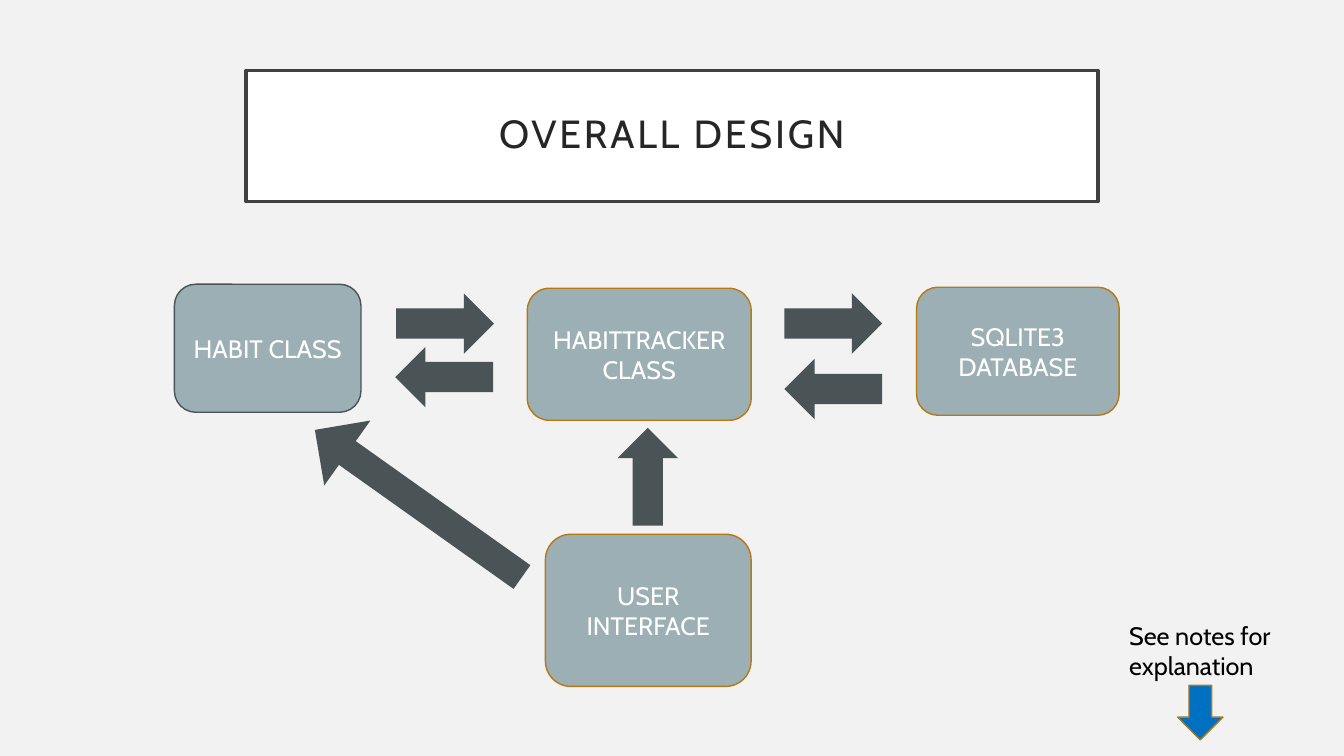
from pptx import Presentation
from pptx.dml.color import RGBColor
from pptx.enum.shapes import MSO_SHAPE
from pptx.enum.text import MSO_ANCHOR, MSO_AUTO_SIZE, PP_ALIGN
from pptx.util import Inches, Pt

FONT = "Cabin"
SLATE, STEEL, OCHRE, BLUE = "4A5356", "9BAFB5", "B67815", "0070C0"

TITLE = ("OVERALL DESIGN", (2.44, 0.7, 8.45, 1.3))
BOXES = [
    ("HABIT CLASS", (1.73, 2.82, 1.85, 1.27), SLATE),
    ("HABITTRACKER CLASS", (5.23, 2.86, 2.22, 1.31), OCHRE),
    ("SQLITE3 DATABASE", (9.09, 2.85, 2.01, 1.27), OCHRE),
    ("USER INTERFACE", (5.41, 5.3, 2.04, 1.51), OCHRE),
]
ARROW_SIZE = (0.97, 0.6)
ARROWS = [
    ((3.93, 2.91), 0),
    ((3.92, 3.44), 180),
    ((7.78, 2.91), 0),
    ((7.78, 3.56), 180),
    ((5.94, 4.43), 270),
]
LONG_ARROW = ((2.89, 4.6, 2.52, 0.79), 215.4)
NOTE = ("See notes for explanation", (11.1, 6.1, 1.65, 0.71))
NOTE_ARROW = (11.68, 6.8, 0.45, 0.54)


def rgb(color):
    return RGBColor.from_string(color)


def paint(sp, fill, line=None, width=1):
    sp.fill.solid()
    sp.fill.fore_color.rgb = rgb(fill)
    if line:
        sp.line.color.rgb = rgb(line)
        sp.line.width = Pt(width)
    else:
        sp.line.fill.background()


def add_shape(kind, at, fill, line=None):
    sp = s.shapes.add_shape(kind, *map(Inches, at))
    sp.shadow.inherit = False
    paint(sp, fill, line)
    return sp


def write(sp, text, size, color, align, anchor):
    tf = sp.text_frame
    tf.word_wrap = True
    tf.vertical_anchor = anchor
    p = tf.paragraphs[0]
    p.alignment = align
    r = p.add_run()
    r.text = text
    r.font.name = FONT
    r.font.size = Pt(size)
    r.font.color.rgb = rgb(color)
    return tf, p, r


prs = Presentation()
prs.slide_width, prs.slide_height = Inches(13.33), Inches(7.5)
s = prs.slides.add_slide(prs.slide_layouts[5])
s.background.fill.solid()
s.background.fill.fore_color.rgb = rgb("F2F2F2")

text, at = TITLE
title = s.shapes.title
title.left, title.top, title.width, title.height = map(Inches, at)
paint(title, "FFFFFF", "404040", 2.5)
tf, p, r = write(title, text, 28, "262626", PP_ALIGN.CENTER, MSO_ANCHOR.MIDDLE)
tf.auto_size = MSO_AUTO_SIZE.NONE
tf.margin_left = tf.margin_right = tf.margin_top = tf.margin_bottom = Inches(0.2)
p.line_spacing = 0.9
r.font._element.set("spc", "200")

for text, at, line in BOXES:
    box = add_shape(MSO_SHAPE.ROUNDED_RECTANGLE, at, STEEL, line)
    write(box, text, 18, "FFFFFF", PP_ALIGN.CENTER, MSO_ANCHOR.MIDDLE)

for corner, angle in ARROWS:
    arrow = add_shape(MSO_SHAPE.RIGHT_ARROW, corner + ARROW_SIZE, SLATE)
    arrow.rotation = angle

at, angle = LONG_ARROW
arrow = add_shape(MSO_SHAPE.RIGHT_ARROW, at, SLATE)
arrow.rotation = angle
arrow.adjustments[0] = 0.365

text, at = NOTE
note = s.shapes.add_textbox(*map(Inches, at))
tf, p, r = write(note, text, 18, "000000", PP_ALIGN.LEFT, MSO_ANCHOR.TOP)
tf.auto_size = MSO_AUTO_SIZE.SHAPE_TO_FIT_TEXT

add_shape(MSO_SHAPE.DOWN_ARROW, NOTE_ARROW, BLUE, OCHRE)

prs.save("out.pptx")
